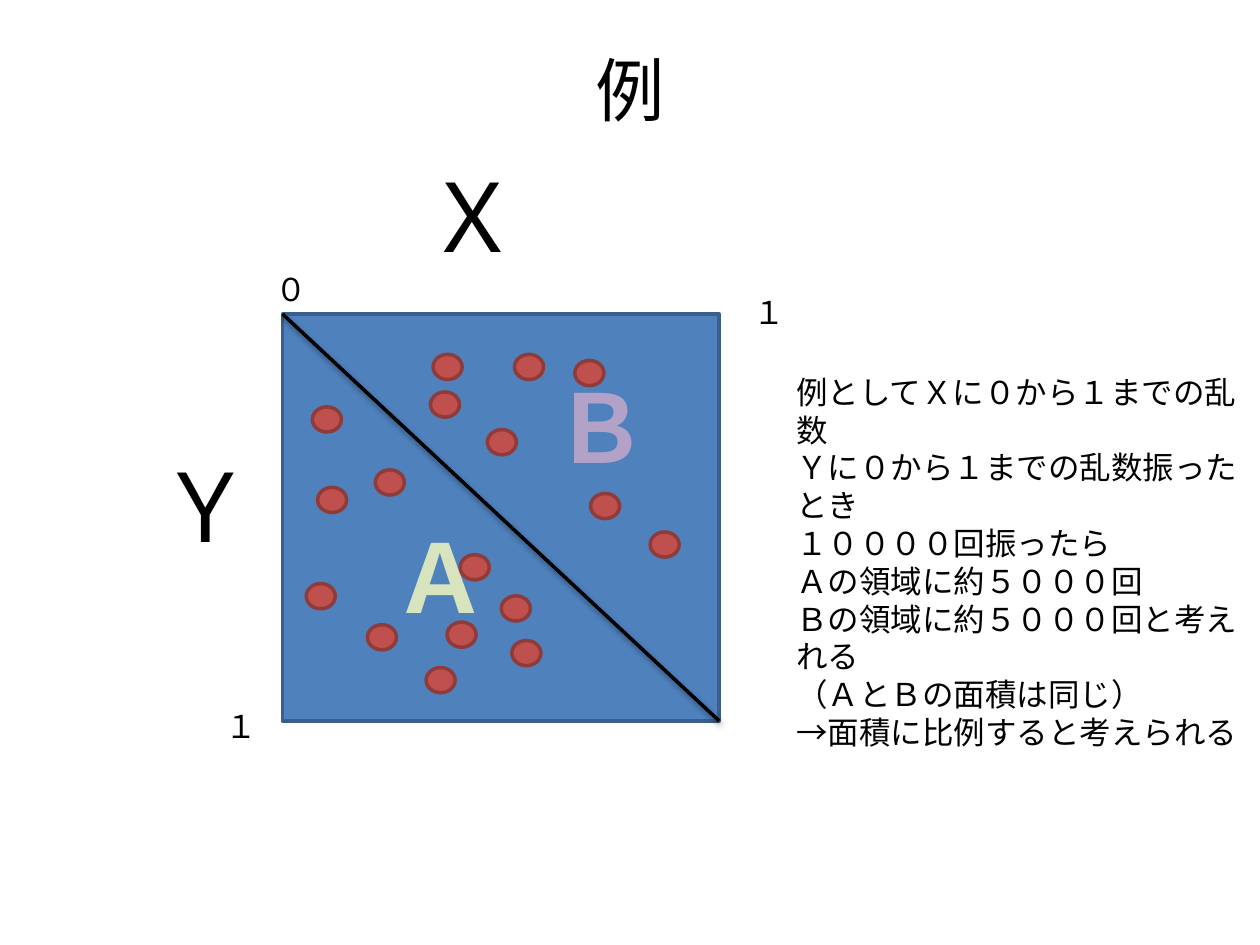
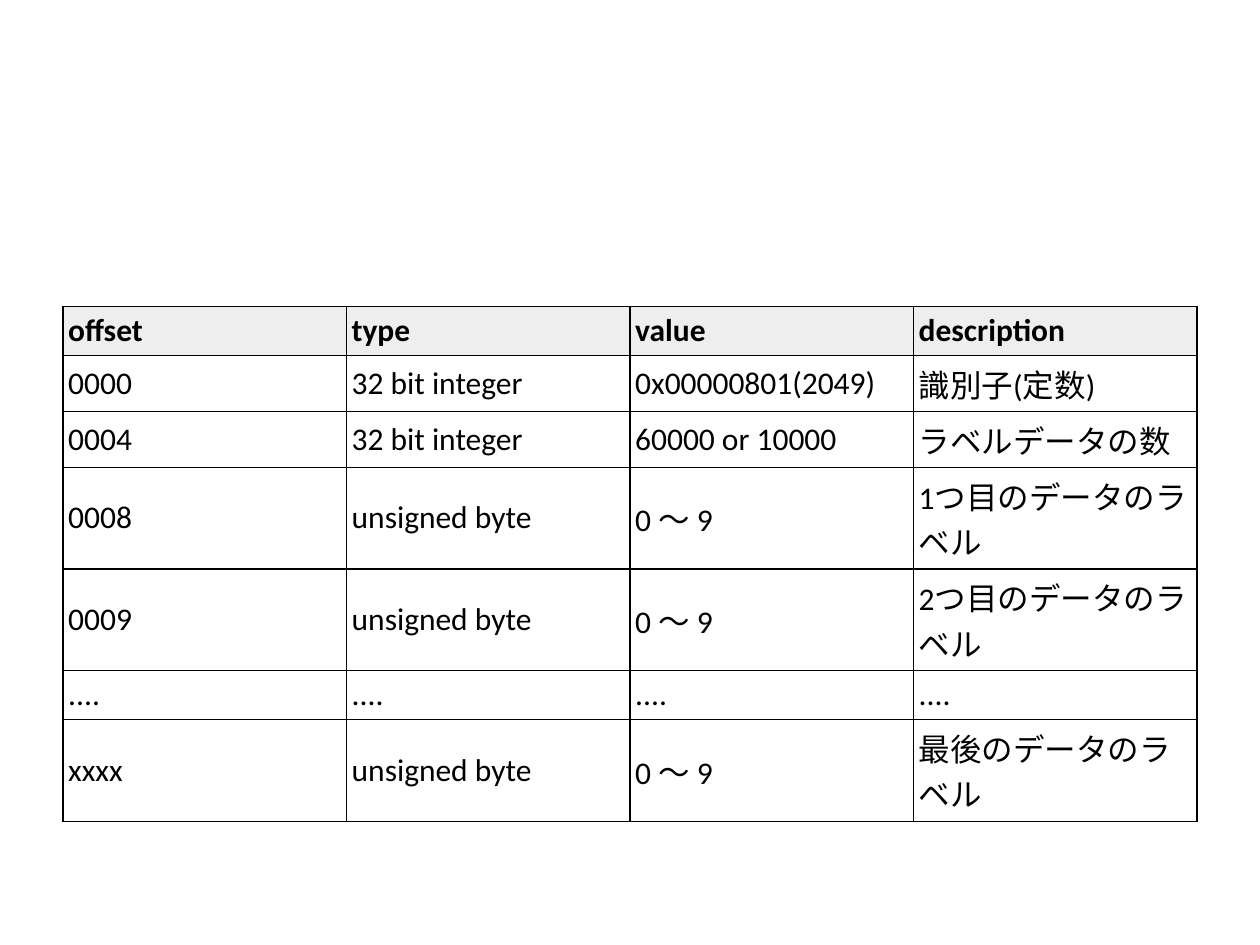
"""Build two slides: random points in a square, and a label file layout."""
from dataclasses import dataclass
from typing import Any

from lxml import etree
from pptx import Presentation
from pptx.dml.color import RGBColor
from pptx.enum.shapes import MSO_CONNECTOR, MSO_SHAPE
from pptx.enum.text import MSO_ANCHOR, PP_ALIGN
from pptx.oxml.ns import qn
from pptx.util import Pt

RECT, OVAL = MSO_SHAPE.RECTANGLE, MSO_SHAPE.OVAL
STRAIGHT = MSO_CONNECTOR.STRAIGHT
LEFT, CENTER = PP_ALIGN.LEFT, PP_ALIGN.CENTER
MIDDLE, TOP = MSO_ANCHOR.MIDDLE, MSO_ANCHOR.TOP

BLACK = RGBColor(0x00, 0x00, 0x00)
WHITE = RGBColor(0xFF, 0xFF, 0xFF)
GRAY = RGBColor(0xEE, 0xEE, 0xEE)
BLUE = RGBColor(0x4F, 0x81, 0xBD)
NAVY = RGBColor(0x3A, 0x5F, 0x8C)
RED = RGBColor(0xC0, 0x50, 0x4D)
MAROON = RGBColor(0x8E, 0x3B, 0x39)
GREEN = RGBColor(0xD7, 0xE4, 0xBD)
PURPLE = RGBColor(0xB3, 0xA2, 0xC7)

FONT = "Calibri"
LEADING = 1.2
TITLE_ONLY, BLANK = 5, 6


@dataclass(frozen=True)
class Label:
    """A text box with its place and look, in points."""

    text: str
    left: float
    top: float
    width: float
    height: float
    size: float = 18
    color: RGBColor = BLACK
    bold: bool = False
    align: Any = LEFT
    wrap: bool = False


@dataclass(frozen=True)
class Form:
    """A preset shape with its size and colours."""

    kind: Any
    width: float
    height: float
    fill: RGBColor
    edge: RGBColor


SQUARE = Form(RECT, 249.5, 232.5, BLUE, NAVY)
DOT = Form(OVAL, 16.6, 14.4, RED, MAROON)
CORNER = (161.5, 179.5)

NOTE = """例としてＸに０から１までの乱数
Ｙに０から１までの乱数振ったとき
１００００回振ったら
Ａの領域に約５０００回
Ｂの領域に約５０００回と考えれる
（ＡとＢの面積は同じ）
→面積に比例すると考えられる"""

LABELS = [
    Label("Ａ", 218, 293, 53.5, 72.5, 54, GREEN, True, CENTER),
    Label("Ｂ", 309, 207.5, 57, 72.5, 54, PURPLE, True, CENTER),
    Label("Ｘ", 236, 86.5, 50.5, 72.5, 54, align=CENTER),
    Label("Ｙ", 83.5, 252.5, 50, 72.5, 54, align=CENTER),
    Label("０", 150.5, 151, 26.5, 29),
    Label("１", 121.5, 400.5, 26.5, 29),
    Label("１", 423.5, 164, 26.5, 29),
    Label(NOTE, 448, 209.5, 268.5, 222, wrap=True),
]

DOTS = [
    (292.5, 366), (210, 357), (181.5, 278.5), (247.5, 202.5), (328.5, 206),
    (371.5, 304), (278.5, 245.5), (178.5, 232.5), (175, 333.5), (246, 224),
    (214.5, 268.5), (255.5, 355.5), (294, 202.5), (243.5, 381.5),
    (263, 317), (337.5, 282), (286.5, 340.5),
]

ROWS = [
    ("offset", "type", "value", "description"),
    ("0000", "32 bit integer", "0x00000801(2049)", "識別子(定数)"),
    ("0004", "32 bit integer", "60000 or 10000", "ラベルデータの数"),
    ("0008", "unsigned byte", "0 ～ 9", "1つ目のデータのラベル"),
    ("0009", "unsigned byte", "0 ～ 9", "2つ目のデータのラベル"),
    ("....",) * 4,
    ("xxxx", "unsigned byte", "0 ～ 9", "最後のデータのラベル"),
]
HEIGHTS = (28, 32, 32, 58, 58, 28, 58)


def apply(target: Any, **values: Any) -> None:
    """Set several attributes on one object."""
    for name, value in values.items():
        setattr(target, name, value)


def style(font: Any, size: float, color: RGBColor = BLACK, bold: bool = False) -> None:
    """Give a font its face, size, weight and colour."""
    apply(font, name=FONT, size=Pt(size), bold=bold)
    font.color.rgb = color


def add_title(slide: Any, text: str) -> None:
    """Place and fill the title placeholder."""
    title = slide.shapes.title
    apply(title, left=Pt(36), top=Pt(21.5), width=Pt(648), height=Pt(58.5))
    frame = title.text_frame
    apply(frame, text=text, vertical_anchor=MIDDLE)
    para = frame.paragraphs[0]
    para.alignment = CENTER
    style(para.runs[0].font, 39.6)


def add_label(slide: Any, label: Label) -> None:
    """Draw a text box, one paragraph for each line."""
    place = (label.left, label.top, label.width, label.height)
    frame = slide.shapes.add_textbox(*map(Pt, place)).text_frame
    apply(frame, text=label.text, word_wrap=label.wrap, vertical_anchor=TOP)
    for para in frame.paragraphs:
        apply(para, alignment=label.align, line_spacing=Pt(label.size * LEADING))
        style(para.runs[0].font, label.size, label.color, label.bold)


def add_form(slide: Any, form: Form, left: float, top: float) -> None:
    """Draw a preset shape at a place."""
    place = (left, top, form.width, form.height)
    shape = slide.shapes.add_shape(form.kind, *map(Pt, place))
    shape.shadow.inherit = False
    shape.fill.solid()
    shape.fill.fore_color.rgb = form.fill
    shape.line.color.rgb = form.edge
    shape.line.width = Pt(2)


def add_slash(slide: Any) -> None:
    """Draw the diagonal of the square with a soft shadow."""
    left, top = CORNER
    ends = (left, top, left + SQUARE.width, top + SQUARE.height)
    line = slide.shapes.add_connector(STRAIGHT, *map(Pt, ends))
    line.line.color.rgb = BLACK
    line.line.width = Pt(2)
    effect = etree.SubElement(line._element.spPr, qn("a:effectLst"))
    shade = etree.SubElement(
        effect, qn("a:outerShdw"), blurRad=str(Pt(3.1)), dist=str(Pt(1.6)),
        dir="5400000", rotWithShape="0")
    color = etree.SubElement(shade, qn("a:srgbClr"), val=str(BLACK))
    etree.SubElement(color, qn("a:alpha"), val="38000")


def add_edges(cell: Any) -> None:
    """Draw thin black borders ahead of the cell fill."""
    props = cell._tc.get_or_add_tcPr()
    for spot, side in enumerate(("lnL", "lnR", "lnT", "lnB")):
        edge = etree.Element(qn(f"a:{side}"), w=str(Pt(0.75)))
        fill = etree.SubElement(edge, qn("a:solidFill"))
        etree.SubElement(fill, qn("a:srgbClr"), val=str(BLACK))
        props.insert(spot, edge)


def add_grid(slide: Any) -> None:
    """Draw the file layout table."""
    place = (36, 175, 648, sum(HEIGHTS))
    table = slide.shapes.add_table(len(ROWS), len(ROWS[0]), *map(Pt, place)).table
    apply(table, first_row=False, horz_banding=False)
    pad = dict.fromkeys(
        ("margin_left", "margin_right", "margin_top", "margin_bottom"), Pt(3))
    for row, (texts, height) in enumerate(zip(ROWS, HEIGHTS)):
        table.rows[row].height = Pt(height)
        head = row == 0
        for col, text in enumerate(texts):
            cell = table.cell(row, col)
            apply(cell, text=text, vertical_anchor=MIDDLE, **pad)
            style(cell.text_frame.paragraphs[0].runs[0].font, 18, bold=head)
            cell.fill.solid()
            cell.fill.fore_color.rgb = GRAY if head else WHITE
            add_edges(cell)


def main() -> None:
    """Build and save the slides."""
    deck = Presentation()
    apply(deck, slide_width=Pt(720), slide_height=Pt(540))
    chance = deck.slides.add_slide(deck.slide_layouts[TITLE_ONLY])
    add_title(chance, "例")
    add_form(chance, SQUARE, *CORNER)
    add_slash(chance)
    for label in LABELS:
        add_label(chance, label)
    for dot in DOTS:
        add_form(chance, DOT, *dot)
    add_grid(deck.slides.add_slide(deck.slide_layouts[BLANK]))
    deck.save("out.pptx")


if __name__ == "__main__":
    main()
